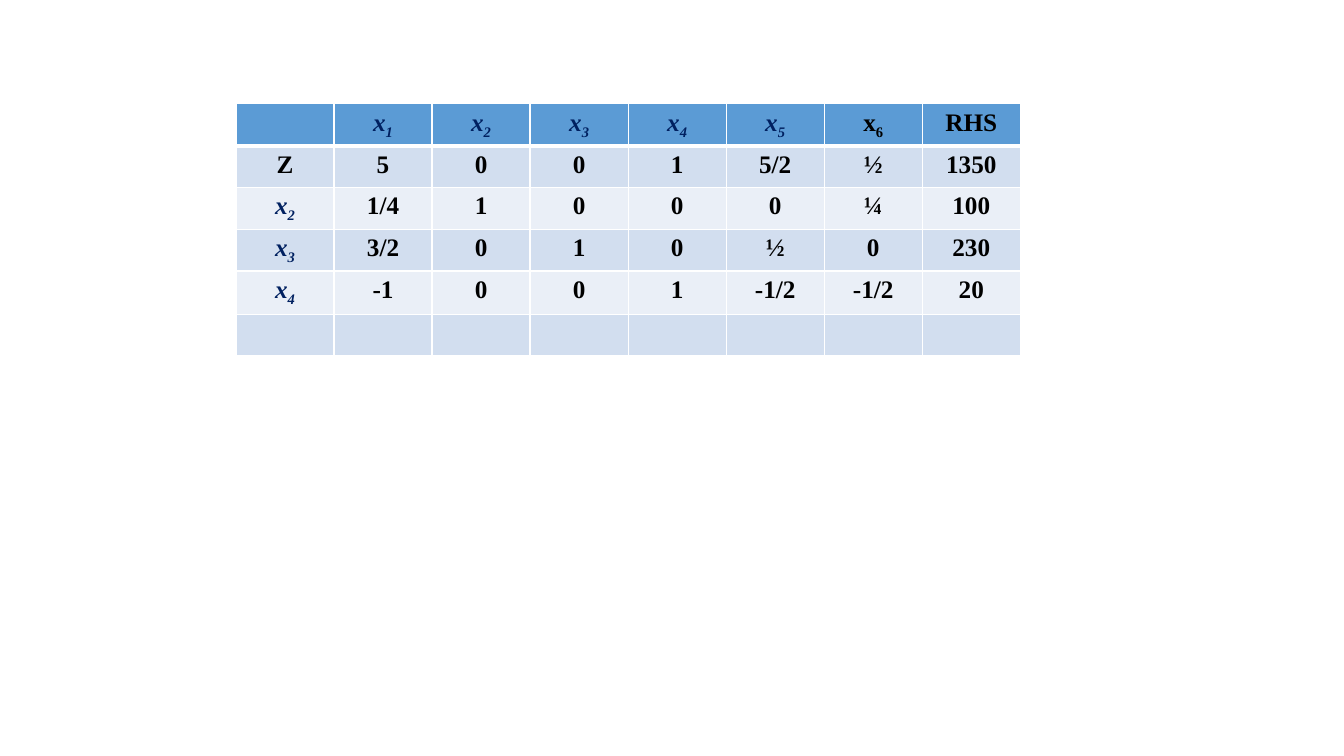
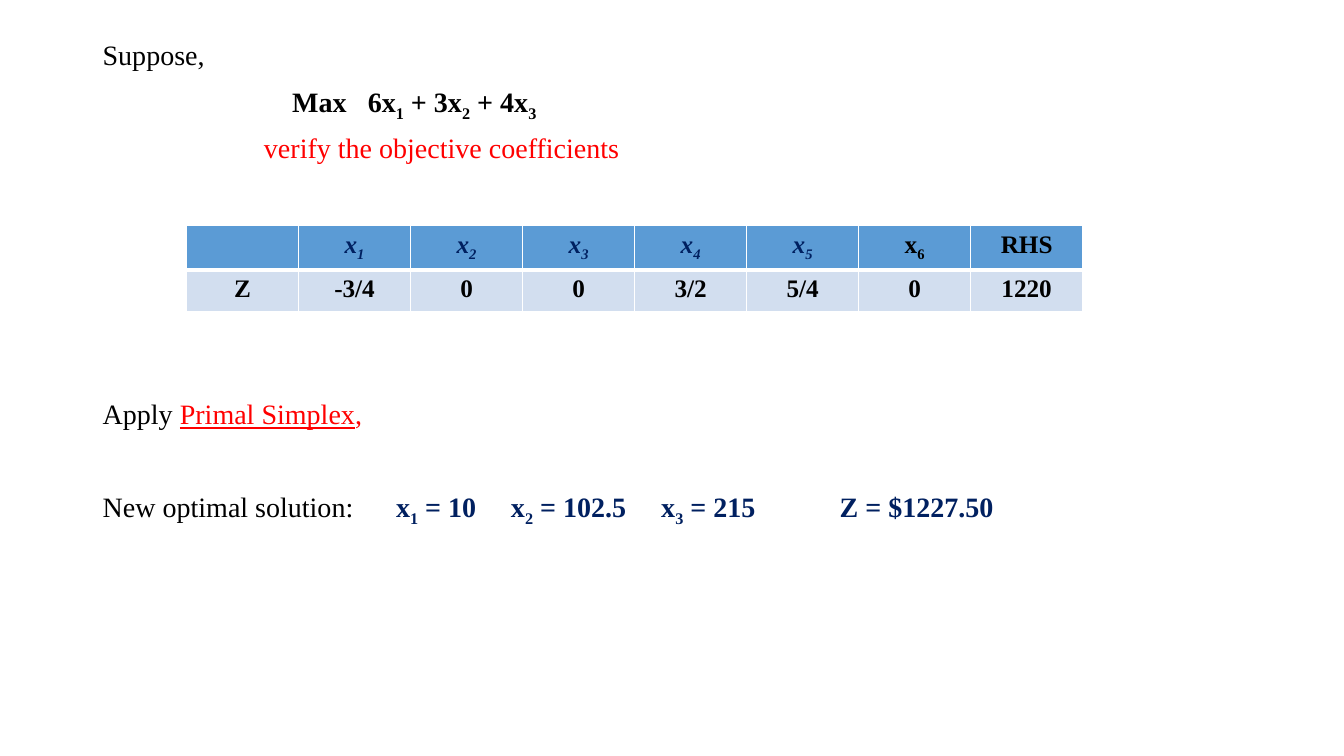
from pptx import Presentation
from pptx.dml.color import RGBColor
from pptx.enum.text import PP_ALIGN
from pptx.oxml.ns import qn
from pptx.util import Inches, Pt
from lxml import etree

CENTER = PP_ALIGN.CENTER
FONT = "Times New Roman"
COLORS = {"head": "5B9BD5", "dark": "D2DEEF", "light": "EAEFF7",
          "line": "FFFFFF", "text": "000000", "navy": "002060", "red": "FF0000"}

# An underscore lowers the one character after it.
HEAD = ["", "x_1", "x_2", "x_3", "x_4", "x_5", "x_6", "RHS"]
PLAIN = {"x_6"}
FINAL = [
    HEAD,
    ["Z", "5", "0", "0", "1", "5/2", "½", "1350"],
    ["x_2", "1/4", "1", "0", "0", "0", "¼", "100"],
    ["x_3", "3/2", "0", "1", "0", "½", "0", "230"],
    ["x_4", "-1", "0", "0", "1", "-1/2", "-1/2", "20"],
    [""] * len(HEAD),
]
CHANGED = [HEAD, ["Z", "-3/4", "0", "0", "3/2", "5/4", "0", "1220"]]

# Space before in points, tab stops in inches, runs of (text, colour, style)
BODY = [
    (0, [], [("Suppose,", "text", "")]),
    (10, [1.88, 2.63], [("\tMax\t6x_1 + 3x_2 + 4x_3", "text", "bold")]),
    (10, [1.6], [("\tverify the objective coefficients", "red", "")]),
    (169, [], [("Apply ", "text", ""), ("Primal Simplex", "red", "underline"),
               (",", "red", "")]),
    (42, [2.91, 4.05, 5.54, 7.31],
     [("New optimal solution:", "text", ""),
      ("\tx_1 = 10\tx_2 = 102.5\tx_3 = 215\tZ = $1227.50", "navy", "bold")]),
]


def color(name):
    return RGBColor.from_string(COLORS[name])


def add_runs(para, text):
    """Add text as runs, with subscripts, and return the runs."""
    first, *rest = text.split("_")
    parts = [(first, False)]
    for part in rest:
        parts += [(part[0], True), (part[1:], False)]
    runs = []
    for words, low in parts:
        if words:
            run = para.add_run()
            run.text = words
            if low:
                run._r.get_or_add_rPr().set("baseline", "-25000")
            runs.append(run)
    return runs


def set_font(para, size):
    para.font.name = FONT
    para.font.size = Pt(size)


def set_edges(cell, top, bottom):
    """Draw the cell borders; call before the fill is set."""
    props = cell._tc.get_or_add_tcPr()
    for side, width in zip("LRTB", (1, 1, top, bottom)):
        line = etree.SubElement(props, qn(f"a:ln{side}"), w=str(Pt(width)))
        fill = etree.SubElement(line, qn("a:solidFill"))
        etree.SubElement(fill, qn("a:srgbClr"), val=COLORS["line"])


def add_grid(slide, rows, left, top, width, heights):
    frame = slide.shapes.add_table(len(rows), len(HEAD), Inches(left), Inches(top),
                                   Inches(width), Inches(sum(heights)))
    table = frame.table
    table.first_row = table.horz_banding = False
    for row, height in zip(table.rows, heights):
        row.height = Inches(height)
    for r, row in enumerate(rows):
        shade = "head" if r == 0 else ("light", "dark")[r % 2]
        for c, text in enumerate(row):
            cell = table.cell(r, c)
            set_edges(cell, 3 if r == 1 else 1, 3 if r == 0 else 1)
            cell.fill.solid()
            cell.fill.fore_color.rgb = color(shade)
            para = cell.text_frame.paragraphs[0]
            para.alignment = CENTER
            add_runs(para, text)
            set_font(para, 18)
            name = "_" in text and text not in PLAIN
            para.font.bold = True
            para.font.italic = name
            para.font.color.rgb = color("navy" if name else "text")


def add_body(slide):
    box = slide.shapes.add_textbox(Inches(0.92), Inches(0.36), Inches(11.5), Inches(6.4))
    frame = box.text_frame
    frame.word_wrap = True
    for i, (space, stops, runs) in enumerate(BODY):
        para = frame.add_paragraph() if i else frame.paragraphs[0]
        para.line_spacing = 0.9
        para.space_before = Pt(space)
        if stops:
            tabs = etree.SubElement(para._p.get_or_add_pPr(), qn("a:tabLst"))
            for stop in stops:
                etree.SubElement(tabs, qn("a:tab"), pos=str(Inches(stop)), algn="l")
        set_font(para, 20)
        for text, tone, style in runs:
            for run in add_runs(para, text):
                run.font.color.rgb = color(tone)
                if style:
                    setattr(run.font, style, True)


def main():
    deck = Presentation()
    deck.slide_width, deck.slide_height = Inches(13.33), Inches(7.5)
    blank = deck.slide_layouts[6]
    add_grid(deck.slides.add_slide(blank), FINAL, 2.34, 1.03, 7.78,
             [0.39, 0.41, 0.41, 0.41, 0.43, 0.41])
    slide = deck.slides.add_slide(blank)
    add_body(slide)
    add_grid(slide, CHANGED, 1.85, 2.24, 8.89, [0.41, 0.41])
    deck.save("out.pptx")


if __name__ == "__main__":
    main()
